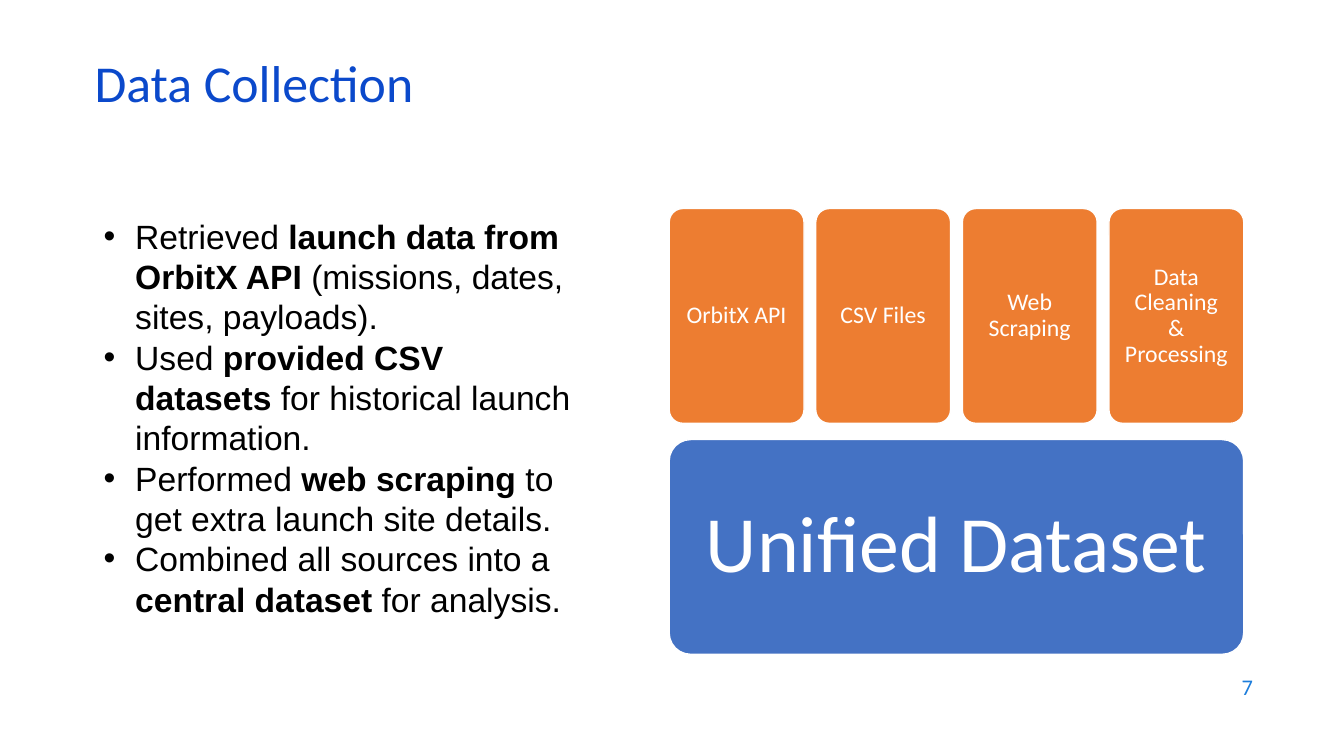
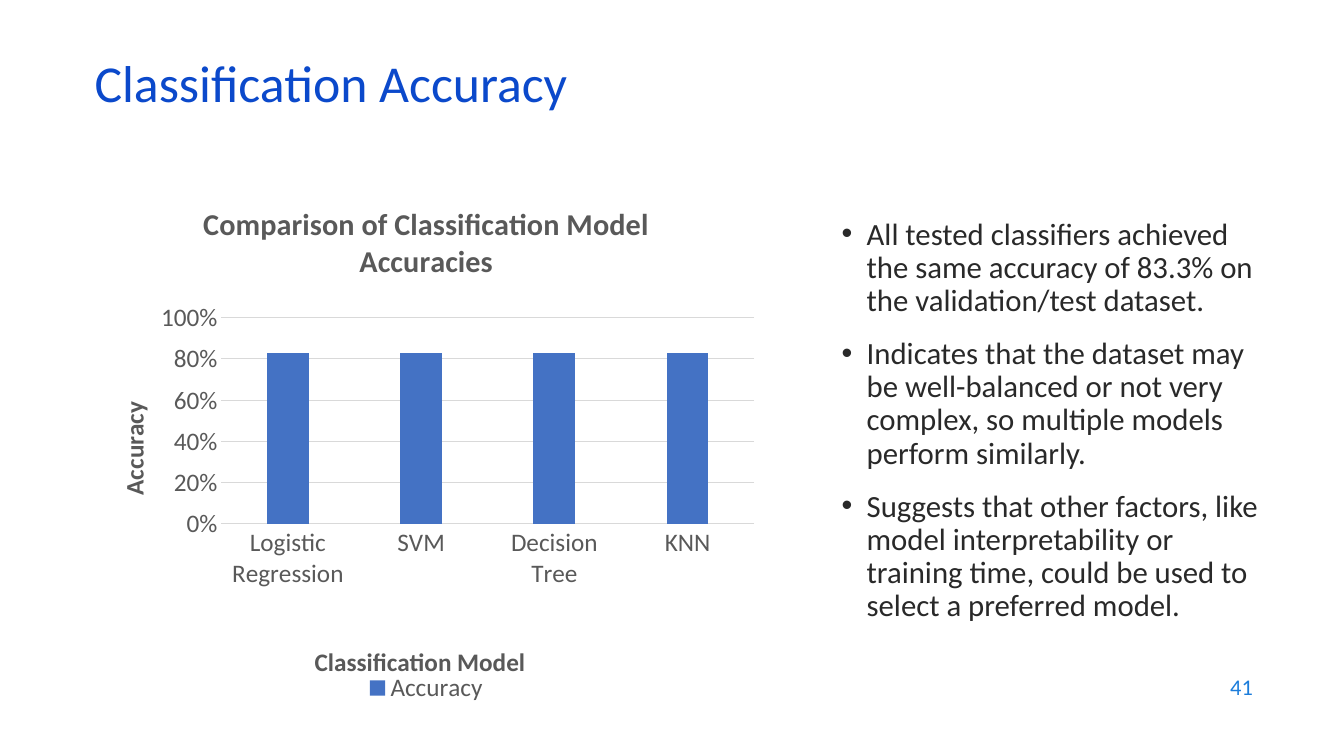
from lxml import etree
from pptx import Presentation
from pptx.chart.data import CategoryChartData
from pptx.dml.color import RGBColor
from pptx.enum import chart as kinds, shapes, text
from pptx.oxml.ns import qn
from pptx.util import Pt

TITLE = RGBColor(0x0B, 0x49, 0xCB)
PAGE = RGBColor(0x1C, 0x7D, 0xDB)
BLACK = RGBColor(0, 0, 0)
INK = RGBColor(0x29, 0x29, 0x29)
WHITE = RGBColor(255, 255, 255)
BLUE = RGBColor(0x44, 0x72, 0xC4)
ORANGE = RGBColor(0xED, 0x7D, 0x31)
GREY = RGBColor(0x59, 0x59, 0x59)
RULE = RGBColor(0xD9, 0xD9, 0xD9)


def write(slide, area, lines, size, font, color, indent=0, space=1.0, gap=0):
    frame = slide.shapes.add_textbox(*map(Pt, area)).text_frame
    frame.word_wrap = True
    frame.vertical_anchor = text.MSO_ANCHOR.MIDDLE
    for i, line in enumerate(lines):
        para = frame.add_paragraph() if i else frame.paragraphs[0]
        if indent:
            props = para._p.get_or_add_pPr()
            props.set("marL", str(Pt(indent)))
            props.set("indent", str(-Pt(indent)))
            etree.SubElement(props, qn("a:buFont"), typeface="Arial")
            etree.SubElement(props, qn("a:buChar"), char="•")
        para.line_spacing = space
        if i and gap:
            para.space_before = Pt(gap)
        for j, part in enumerate(line.split("*")):
            run = para.add_run()
            run.text = part
            run.font.size = Pt(size)
            run.font.name = font
            run.font.bold = j % 2 == 1
            run.font.color.rgb = color
    return frame


def place(node, index, target=None, **spots):
    old = node.find(qn("c:layout"))
    if old is not None:
        node.remove(old)
    layout = etree.Element(qn("c:layout"))
    node.insert(index, layout)
    manual = etree.SubElement(layout, qn("c:manualLayout"))
    if target:
        etree.SubElement(manual, qn("c:layoutTarget"), val=target)
    for key in ("x", "y"):
        etree.SubElement(manual, qn(f"c:{key}Mode"), val="edge")
    for key, value in spots.items():
        etree.SubElement(manual, qn(f"c:{key}"), val=str(value))


deck = Presentation()
deck.slide_width = Pt(960)
deck.slide_height = Pt(540)

pages = []
for title, number in (("Data Collection", "7"), ("Classification Accuracy", "41")):
    slide = deck.slides.add_slide(deck.slide_layouts[6])
    write(slide, (60.5, 42.5, 828, 43), [title], 37, "Calibri", TITLE, space=0.7)
    frame = write(slide, (686, 474.5, 216, 31.5), [number], 16, "Calibri", PAGE)
    frame.paragraphs[0].alignment = text.PP_ALIGN.RIGHT
    pages.append(slide)
data, model = pages

write(data, (67, 149, 354, 298), [
    "Retrieved *launch data from OrbitX API* (missions, dates, sites, payloads).",
    "Used *provided CSV datasets* for historical launch information.",
    "Performed *web scraping* to get extra launch site details.",
    "Combined all sources into a *central dataset* for analysis.",
], 24, "Arial", BLACK, indent=22.5)

LEFT, TOP, WIDE, HIGH = 478, 149, 410.4, 153.4
GAP = 8.4
steps = ["OrbitX API", "CSV Files", "Web Scraping", "Data Cleaning & Processing"]
side = (WIDE - GAP * (len(steps) - 1)) / len(steps)
cards = [("Unified Dataset", LEFT, 314, WIDE, BLUE, 57, 20)]
for i, step in enumerate(steps):
    cards.append((step, LEFT + i * (side + GAP), TOP, side, ORANGE, 17, 8))
for label, left, top, width, fill, size, inset in cards:
    card = data.shapes.add_shape(shapes.MSO_SHAPE.ROUNDED_RECTANGLE,
                                 Pt(left), Pt(top), Pt(width), Pt(HIGH))
    card.adjustments[0] = 0.1
    card.shadow.inherit = False
    card.fill.solid()
    card.fill.fore_color.rgb = fill
    card.line.color.rgb = WHITE
    card.line.width = Pt(1)
    frame = card.text_frame
    frame.word_wrap = True
    frame.vertical_anchor = text.MSO_ANCHOR.MIDDLE
    frame.margin_left = frame.margin_right = Pt(inset)
    frame.margin_top = frame.margin_bottom = Pt(inset)
    frame.text = label
    para = frame.paragraphs[0]
    para.alignment = text.PP_ALIGN.CENTER
    para.line_spacing = 0.9
    font = para.runs[0].font
    font.size = Pt(size)
    font.name = "Calibri"
    font.color.rgb = WHITE

frame = write(model, (594, 152.5, 317.5, 300), [
    "All tested classifiers achieved the same accuracy of 83.3% on the validation/test dataset.",
    "Indicates that the dataset may be well-balanced or not very complex, "
    "so multiple models perform similarly.",
    "Suggests that other factors, like model interpretability or training time, "
    "could be used to select a preferred model.",
], 22, "Calibri", INK, indent=18, space=0.9, gap=14)
frame.vertical_anchor = text.MSO_ANCHOR.TOP

table = CategoryChartData(number_format="0%")
table.categories = ["Logistic Regression", "SVM", "Decision Tree", "KNN"]
table.add_series("Accuracy", [0.83] * 4)
chart = model.shapes.add_chart(kinds.XL_CHART_TYPE.COLUMN_CLUSTERED, Pt(60.5), Pt(129),
                               Pt(488), Pt(377), table).chart
chart.font.name = "Calibri"
chart.font.size = Pt(18)
chart.font.color.rgb = GREY
chart.has_legend = True
chart.legend.position = kinds.XL_LEGEND_POSITION.BOTTOM
chart.legend.include_in_layout = False

plot = chart.plots[0]
plot.gap_width = 219
plot.overlap = -27
plot.vary_by_categories = False
bars = plot.series[0].format.fill
bars.solid()
bars.fore_color.rgb = BLUE

cat, val = chart.category_axis, chart.value_axis
val.minimum_scale, val.maximum_scale, val.major_unit = 0, 1, 0.2
val.tick_labels.number_format = "0%"
val.tick_labels.number_format_is_linked = False
val.format.line.fill.background()
for line in (cat.format.line, val.major_gridlines.format.line):
    line.color.rgb = RULE
    line.width = Pt(0.75)
for axis in (cat, val):
    axis.major_tick_mark = kinds.XL_TICK_MARK.NONE

chart.has_title = True
heads = [
    (chart.chart_title, "Comparison of Classification Model Accuracies", 21.6),
    (cat.axis_title, "Classification Model", 18),
    (val.axis_title, "Accuracy", 18),
]
for head, label, size in heads:
    head.text_frame.text = label
    font = head.text_frame.paragraphs[0].runs[0].font
    font.size = Pt(size)
    font.name = "Calibri"
    font.bold = True
    font.color.rgb = GREY

place(cat.axis_title.element, 1, x=0.33, y=0.87)
place(val.axis_title.element, 1, x=0.04, y=0.41)
area = chart.element.find(".//" + qn("c:plotArea"))
place(area, 0, "inner", x=0.2, y=0.26, w=0.78, h=0.39)

deck.save("out.pptx")
